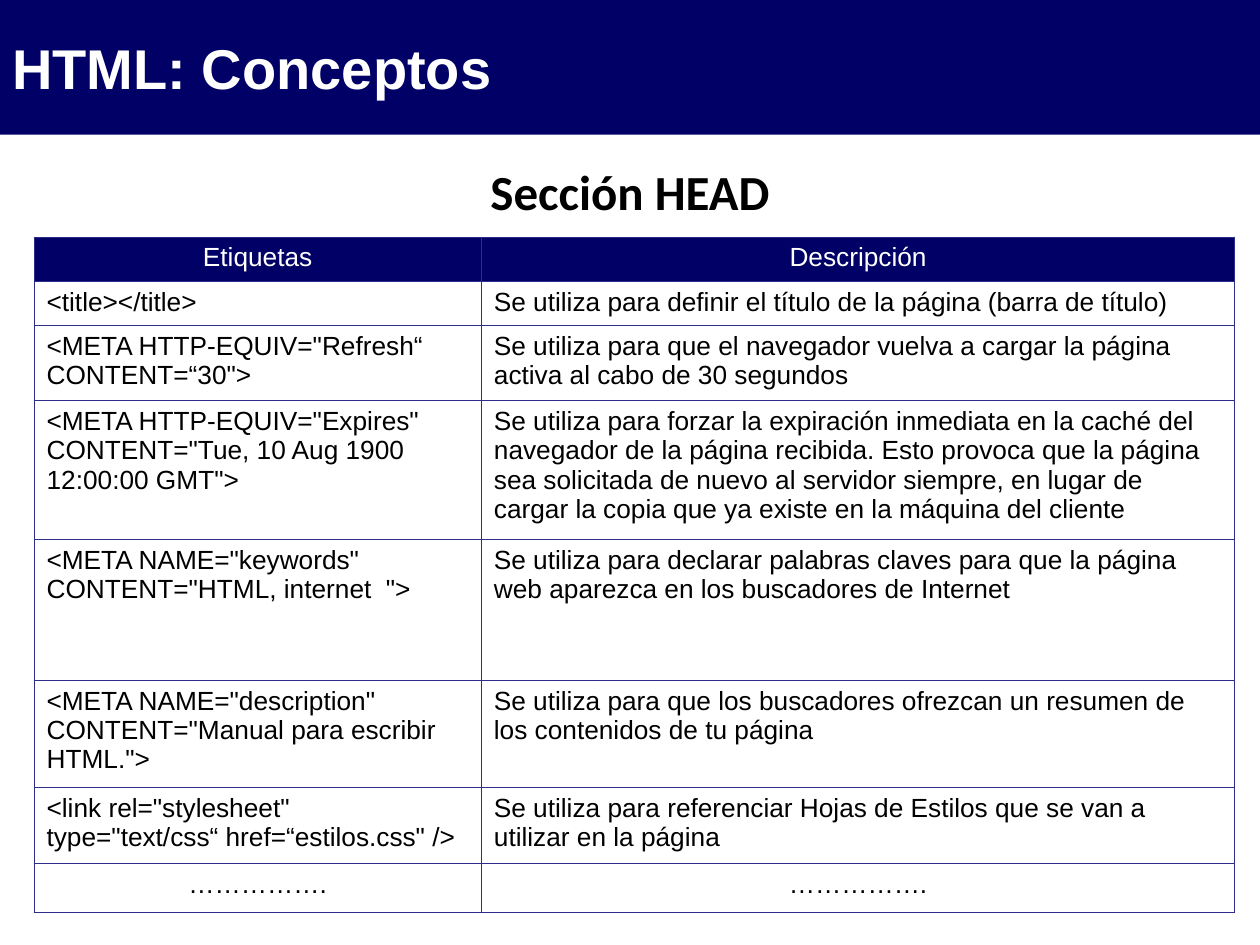
from lxml import etree
from pptx import Presentation
from pptx.dml.color import RGBColor
from pptx.enum import shapes, text
from pptx.oxml import ns
from pptx.util import Inches, Pt

NAVY, BORDER, WHITE, BLACK = "000066", "2D2D8A", "FFFFFF", "000000"


def add_run(paragraph, words, font, size, color, bold=False):
    run = paragraph.add_run()
    run.text = words
    run.font.name = font
    run.font.size = Pt(size)
    run.font.bold = bold
    run.font.color.rgb = RGBColor.from_string(color)


def add_borders(cell, color, width):
    properties = cell._tc.get_or_add_tcPr()
    for position, side in enumerate(("lnL", "lnR", "lnT", "lnB")):
        line = etree.Element(ns.qn(f"a:{side}"), w=str(Pt(width)))
        fill = etree.SubElement(line, ns.qn("a:solidFill"))
        etree.SubElement(fill, ns.qn("a:srgbClr"), val=color)
        properties.insert(position, line)


presentation = Presentation()
presentation.slide_width = Inches(10)
presentation.slide_height = Inches(7.5)
slide = presentation.slides.add_slide(presentation.slide_layouts[6])

# Title band
band = slide.shapes.add_shape(
    shapes.MSO_SHAPE.RECTANGLE, 0, 0, Inches(10), Inches(1.07))
band.shadow.inherit = False
band.fill.solid()
band.fill.fore_color.rgb = RGBColor.from_string(NAVY)
band.line.fill.background()
band.text_frame.vertical_anchor = text.MSO_ANCHOR.MIDDLE
paragraph = band.text_frame.paragraphs[0]
paragraph.alignment = text.PP_ALIGN.LEFT
add_run(paragraph, "HTML: Conceptos", "Arial", 32, WHITE, bold=True)

# Section heading
heading = slide.shapes.add_textbox(0, Inches(1.23), Inches(10), Inches(0.57))
heading.text_frame.word_wrap = True
paragraph = heading.text_frame.paragraphs[0]
paragraph.alignment = text.PP_ALIGN.CENTER
add_run(paragraph, "Sección HEAD", "Calibri", 28, BLACK, bold=True)

# Table of tags: row height, tag, description
rows = [
    (0.35, "Etiquetas", "Descripción"),
    (0.35, "<title></title>",
     "Se utiliza para definir el título de la página (barra de título)"),
    (0.6, '<META HTTP-EQUIV="Refresh“ CONTENT=“30">',
     "Se utiliza para que el navegador vuelva a cargar la página activa "
     "al cabo de 30 segundos"),
    (1.1, '<META HTTP-EQUIV="Expires" CONTENT="Tue, 10 Aug 1900 12:00:00 GMT">',
     "Se utiliza para forzar la expiración inmediata en la caché del navegador "
     "de la página recibida. Esto provoca que la página sea solicitada de nuevo "
     "al servidor siempre, en lugar de cargar la copia que ya existe en la "
     "máquina del cliente"),
    (1.12, '<META NAME="keywords" CONTENT="HTML, internet  ">',
     "Se utiliza para declarar palabras claves para que la página web aparezca "
     "en los buscadores de Internet"),
    (0.85, '<META NAME="description" CONTENT="Manual para escribir HTML.">',
     "Se utiliza para que los buscadores ofrezcan un resumen de los contenidos "
     "de tu página"),
    (0.6, '<link rel="stylesheet" type="text/css“ href=“estilos.css" />',
     "Se utiliza para referenciar Hojas de Estilos que se van a utilizar "
     "en la página"),
    (0.39, "…………….", "……………."),
]
table = slide.shapes.add_table(
    len(rows), 2, Inches(0.27), Inches(1.88), Inches(9.53), Inches(5.36)).table
for column, width in zip(table.columns, (3.55, 5.98)):
    column.width = Inches(width)

for row_index, (height, *contents) in enumerate(rows):
    table.rows[row_index].height = Inches(height)
    is_header = row_index == 0
    is_centered = row_index in (0, len(rows) - 1)
    for column_index, words in enumerate(contents):
        cell = table.cell(row_index, column_index)
        cell.fill.solid()
        cell.fill.fore_color.rgb = RGBColor.from_string(NAVY if is_header else WHITE)
        add_borders(cell, BORDER, 0.45)
        paragraph = cell.text_frame.paragraphs[0]
        paragraph.alignment = (
            text.PP_ALIGN.CENTER if is_centered else text.PP_ALIGN.LEFT)
        add_run(paragraph, words, "Arial", 15, WHITE if is_header else BLACK)

presentation.save("out.pptx")
